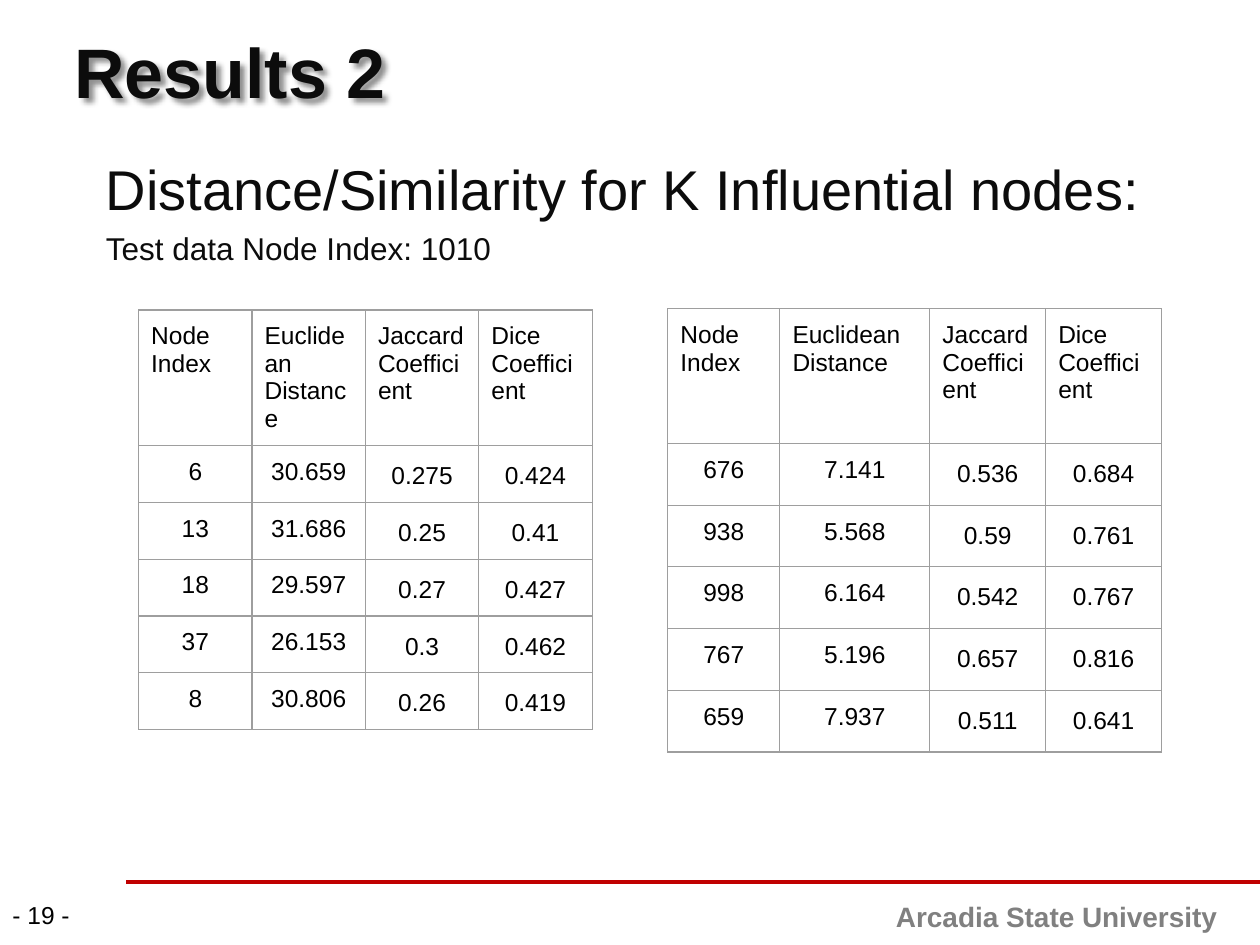
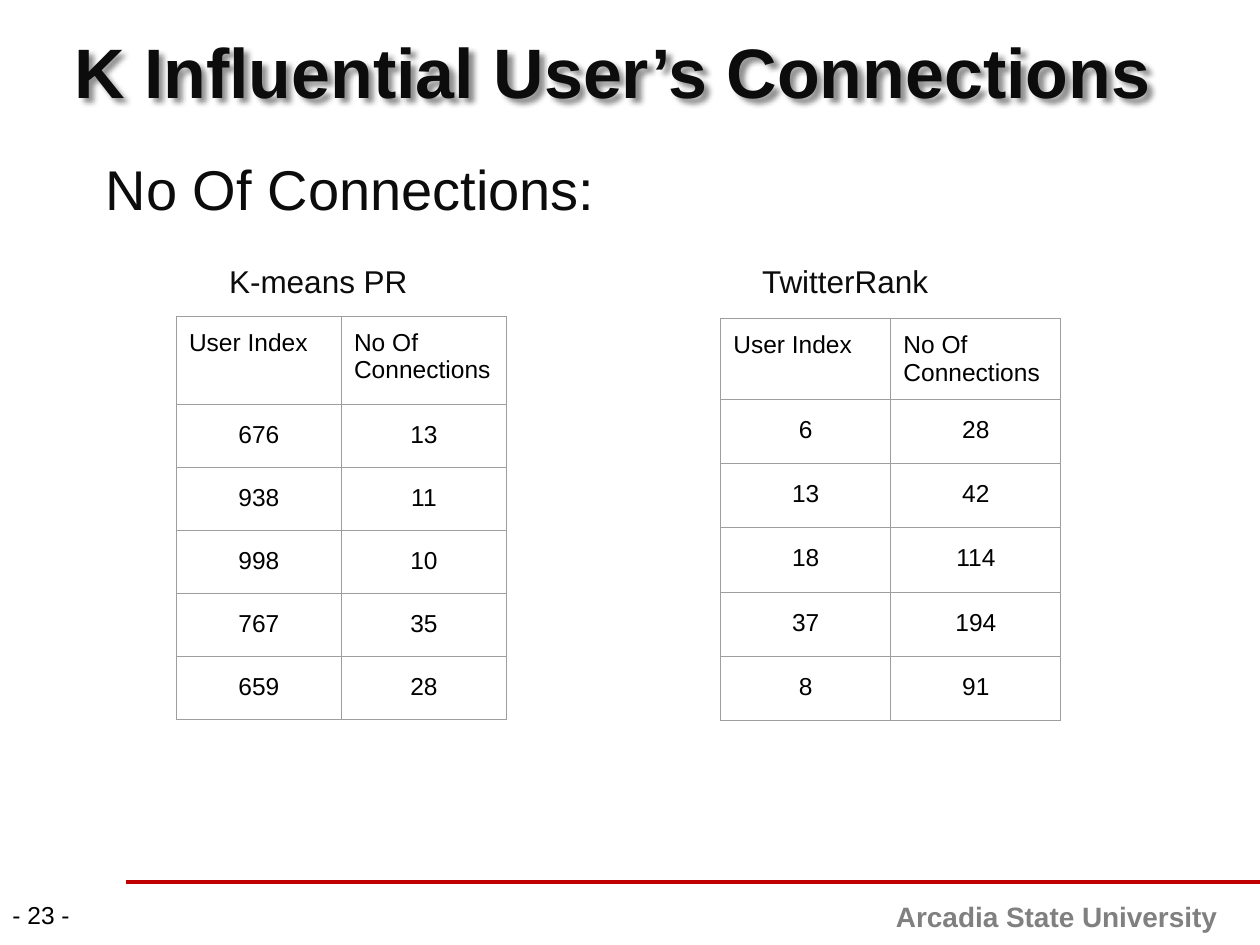
from lxml import etree
from pptx import Presentation
from pptx.dml.color import RGBColor
from pptx.enum import shapes, text
from pptx.oxml import parse_xml
from pptx.oxml.ns import nsdecls, qn
from pptx.util import Inches, Pt

FONT = "Arial"
INK = RGBColor(0x0C, 0x0C, 0x0C)
BLACK = RGBColor(0x00, 0x00, 0x00)
GRAY = RGBColor(0x80, 0x80, 0x80)
RED = RGBColor(0xC0, 0x00, 0x00)
GRID = RGBColor(0x9E, 0x9E, 0x9E)
LEFT, RIGHT, CENTER = text.PP_ALIGN.LEFT, text.PP_ALIGN.RIGHT, text.PP_ALIGN.CENTER
TITLE_SHADOW = (
    f'<a:effectLst {nsdecls("a")}><a:outerShdw blurRad="38100" dist="38100" dir="2700000">'
    '<a:srgbClr val="000000"><a:alpha val="43000"/></a:srgbClr></a:outerShdw></a:effectLst>')

# Slide contents: body lines are (text, size), captions are (text, left);
# line spacing 1.15 starts at column "loose_from"
DISTANCE_HEAD = ["Node Index", "Euclidean Distance", "Jaccard Coefficient", "Dice Coefficient"]
USER_HEAD = ["User Index", "No Of Connections"]
SLIDES = [
    {"title": "Results 2", "number": 19, "loose_from": 2,
     "body": [("Distance/Similarity for K Influential nodes:", 32),
              ("Test data Node Index: 1010", 18)],
     "captions": [],
     "tables": [
         {"at": (1.1, 2.46), "cols": [0.9] * 4, "head_h": 1.07, "row_h": 0.45,
          "rows": [DISTANCE_HEAD,
                   ["6", "30.659", "0.275", "0.424"],
                   ["13", "31.686", "0.25", "0.41"],
                   ["18", "29.597", "0.27", "0.427"],
                   ["37", "26.153", "0.3", "0.462"],
                   ["8", "30.806", "0.26", "0.419"]]},
         {"at": (5.3, 2.45), "cols": [0.89, 1.19, 0.92, 0.92], "head_h": 1.07, "row_h": 0.49,
          "rows": [DISTANCE_HEAD,
                   ["676", "7.141", "0.536", "0.684"],
                   ["938", "5.568", "0.59", "0.761"],
                   ["998", "6.164", "0.542", "0.767"],
                   ["767", "5.196", "0.657", "0.816"],
                   ["659", "7.937", "0.511", "0.641"]]}]},
    {"title": "K Influential User’s Connections", "number": 23, "loose_from": 0,
     "body": [("No Of Connections:", 32)],
     "captions": [("K-means PR", 1.72), ("TwitterRank", 5.95)],
     "tables": [
         {"at": (1.4, 2.51), "cols": [1.31] * 2, "head_h": 0.7, "row_h": 0.5,
          "rows": [USER_HEAD, ["676", "13"], ["938", "11"], ["998", "10"],
                   ["767", "35"], ["659", "28"]]},
         {"at": (5.72, 2.53), "cols": [1.35] * 2, "head_h": 0.64, "row_h": 0.51,
          "rows": [USER_HEAD, ["6", "28"], ["13", "42"], ["18", "114"],
                   ["37", "194"], ["8", "91"]]}]},
]


def add_run(p, words, size, color, bold=False, align=LEFT):
    p.alignment = align
    r = p.add_run()
    r.text = words
    r.font.name, r.font.size, r.font.bold = FONT, Pt(size), bold
    r.font.color.rgb = color


def place(sp, left, top, width, height, pad_y):
    sp.left, sp.top, sp.width, sp.height = map(Inches, (left, top, width, height))
    tf = sp.text_frame
    tf.word_wrap = True
    tf.auto_size = text.MSO_AUTO_SIZE.NONE
    tf.margin_left = tf.margin_right = Inches(0.1)
    tf.margin_top = tf.margin_bottom = Inches(pad_y)
    return tf


prs = Presentation()
prs.slide_width, prs.slide_height = Inches(10), Inches(7.5)

for page in SLIDES:
    s = prs.slides.add_slide(prs.slide_layouts[1])

    # Footer rule, school name and page number
    rule = s.shapes.add_connector(shapes.MSO_CONNECTOR.STRAIGHT,
                                  Inches(1), Inches(7), Inches(10), Inches(7))
    rule.line.color.rgb, rule.line.width = RED, Pt(2)
    etree.SubElement(rule._element.spPr, qn("a:effectLst"))
    tf = place(s.shapes.add_textbox(0, 0, 0, 0), 4.92, 7.09, 4.84, 0.41, 0.05)
    add_run(tf.paragraphs[0], "Arcadia State University", 16, GRAY, True, RIGHT)
    tf = place(s.shapes.add_textbox(0, 0, 0, 0), 0, 7.09, 0.75, 0.41, 0.05)
    add_run(tf.paragraphs[0], f"- {page['number']} -", 14, BLACK)

    # Title: an unfilled shape, so its shadow falls from the text
    title = s.shapes.title
    tf = place(title, 0.49, 0.12, 9, 0.88, 0.1)
    tf.vertical_anchor = text.MSO_ANCHOR.MIDDLE
    add_run(tf.paragraphs[0], page["title"], 40, INK, True)
    title.fill.background()
    title._element.spPr.append(parse_xml(TITLE_SHADOW))

    # Body lines, without bullets
    tf = place(s.placeholders[1], 0.49, 1.02, 9, 5.58, 0.1)
    for i, (words, size) in enumerate(page["body"]):
        p = tf.paragraphs[0] if i == 0 else tf.add_paragraph()
        add_run(p, words, size, INK)
        p.line_spacing, p.space_before = 1.2, Pt(0)
        pPr = p._p.get_or_add_pPr()
        pPr.set("marL", str(Inches(0.38)))
        pPr.set("indent", str(Inches(-0.13)))
        etree.SubElement(pPr, qn("a:buNone"))

    # Table captions
    for words, left in page["captions"]:
        tf = place(s.shapes.add_textbox(0, 0, 0, 0), left, 2.03, 2, 0.4, 0.05)
        add_run(tf.paragraphs[0], words, 18, INK)

    # Tables
    for spec in page["tables"]:
        rows, cols = spec["rows"], spec["cols"]
        heights = [spec["head_h"]] + [spec["row_h"]] * (len(rows) - 1)
        left, top = spec["at"]
        table = s.shapes.add_table(len(rows), len(cols), Inches(left), Inches(top),
                                   Inches(sum(cols)), Inches(sum(heights))).table
        table.first_row = table.horz_banding = False
        for column, width in zip(table.columns, cols):
            column.width = Inches(width)
        for i, values in enumerate(rows):
            table.rows[i].height = Inches(heights[i])
            for j, value in enumerate(values):
                cell = table.cell(i, j)
                cell.margin_left = cell.margin_right = Inches(0.1)
                cell.margin_top = cell.margin_bottom = Inches(0.1)
                p = cell.text_frame.paragraphs[0]
                add_run(p, value, 14, BLACK, align=CENTER if i else LEFT)
                if i and j >= page["loose_from"]:
                    p.line_spacing = 1.15
                tcPr = cell._tc.get_or_add_tcPr()
                for side in ("lnL", "lnR", "lnT", "lnB"):
                    ln = etree.SubElement(tcPr, qn(f"a:{side}"), w=str(Pt(0.75)))
                    fill = etree.SubElement(ln, qn("a:solidFill"))
                    etree.SubElement(fill, qn("a:srgbClr"), val=str(GRID))
                cell.fill.background()

prs.save("out.pptx")
